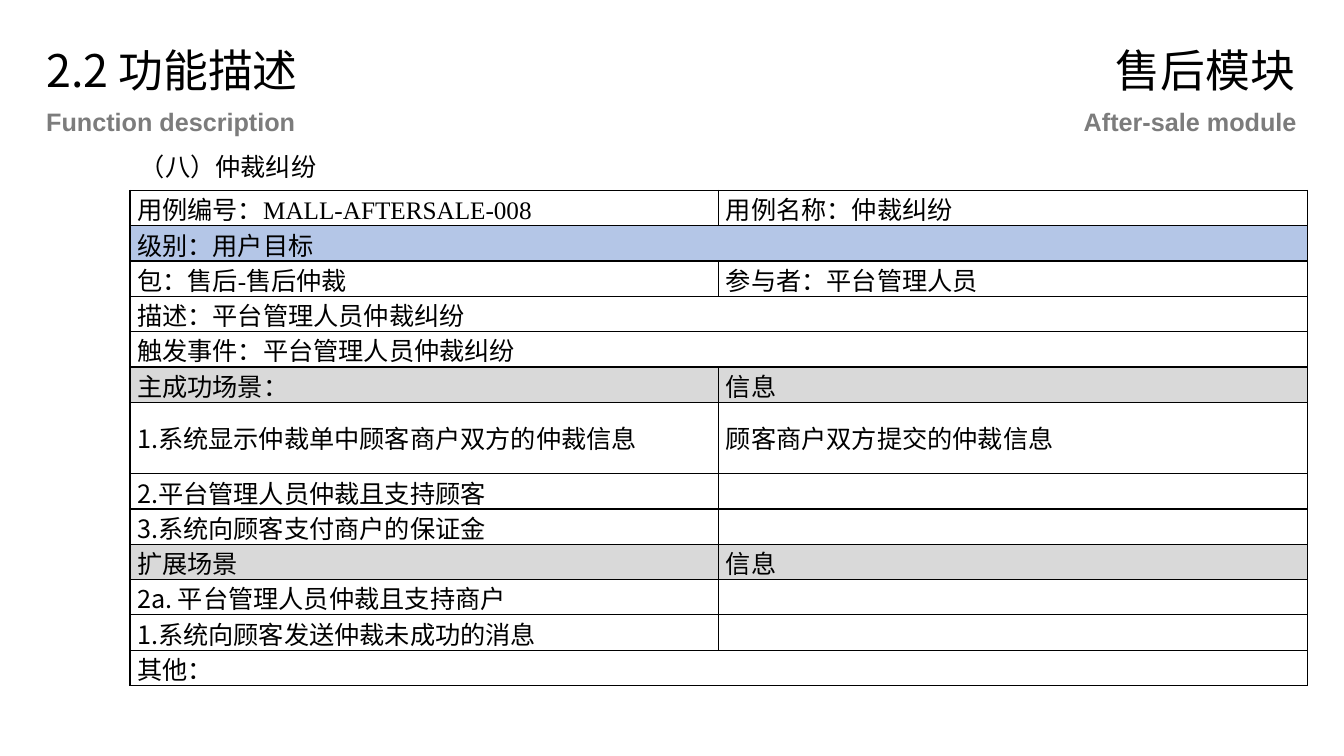
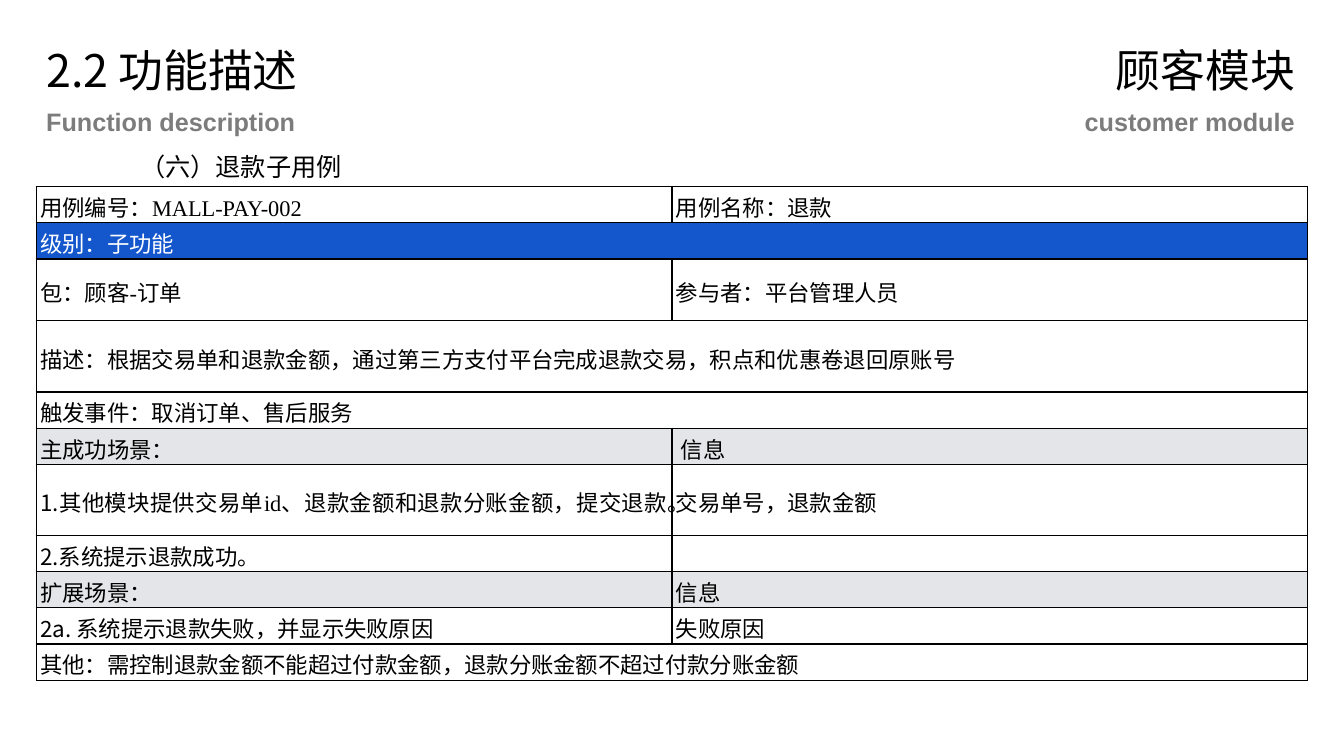
import pptx
import pptx.util
import pptx.dml.color
import pptx.enum.text
import pptx.oxml.ns
from lxml import etree

Inches = pptx.util.Inches
Pt = pptx.util.Pt

CJK_FONT = "Noto Sans CJK SC"
TABLE_FONT = "Times New Roman"
BLACK, WHITE, GREY = "000000", "FFFFFF", "7C7C7C"
RIGHT_EDGE = 12.97

# Row: (height, fill or None, cells). One cell spans the full width;
# a cell given as a pair is a numbering prefix and its text.
SLIDES = [
    {
        "module": ("售后模块", 2.0),
        "module_english": ("After-sale module", 2.32),
        "heading": ("（八）仲裁纠纷", 1.97),
        "left": 1.29, "top": 1.89, "size": 18,
        "side_margin": 0.07, "top_margin": 0,
        "rows": [
            (0.35, None, ["用例编号：MALL-AFTERSALE-008", "用例名称：仲裁纠纷"]),
            (0.35, "B4C6E7", ["级别：用户目标"]),
            (0.35, None, ["包：售后-售后仲裁", "参与者：平台管理人员"]),
            (0.35, None, ["描述：平台管理人员仲裁纠纷"]),
            (0.35, None, ["触发事件：平台管理人员仲裁纠纷"]),
            (0.35, "D9D9D9", ["主成功场景：", "信息"]),
            (0.71, None, [("1.", "系统显示仲裁单中顾客商户双方的仲裁信息"),
                          "顾客商户双方提交的仲裁信息"]),
            (0.35, None, [("2.", "平台管理人员仲裁且支持顾客"), ""]),
            (0.35, None, [("3.", "系统向顾客支付商户的保证金"), ""]),
            (0.35, "D9D9D9", ["扩展场景", "信息"]),
            (0.35, None, [("2a. ", "平台管理人员仲裁且支持商户"), ""]),
            (0.35, None, [("1.", "系统向顾客发送仲裁未成功的消息"), ""]),
            (0.35, None, ["其他："]),
        ],
    },
    {
        "module": ("顾客模块", 2.0),
        "module_english": ("customer module", 2.31),
        "heading": ("（六）退款子用例", 2.22),
        "left": 0.36, "top": 1.85, "size": 16,
        "side_margin": 0.04, "top_margin": 0.04,
        "rows": [
            (0.36, WHITE, ["用例编号：MALL-PAY-002", "用例名称：退款"]),
            (0.36, "1457CD", ["级别：子功能"]),
            (0.61, None, ["包：顾客-订单", "参与者：平台管理人员"]),
            (0.71, None, ["描述：根据交易单和退款金额，通过第三方支付平台完成退款交易，"
                          "积点和优惠卷退回原账号"]),
            (0.36, None, ["触发事件：取消订单、售后服务"]),
            (0.36, "E3E5E9", ["主成功场景：", (" ", "信息")]),
            (0.70, None, [("1.", "其他模块提供交易单id、退款金额和退款分账金额，提交退款。"),
                          "交易单号，退款金额"]),
            (0.36, None, [("2.", "系统提示退款成功。"), ""]),
            (0.36, "E3E5E9", ["扩展场景：", "信息"]),
            (0.36, WHITE, [("2a. ", "系统提示退款失败，并显示失败原因"), "失败原因"]),
            (0.36, None, ["其他：需控制退款金额不能超过付款金额，退款分账金额不超过付款分账金额"]),
        ],
    },
]
DARK_FILLS = {"1457CD"}


def rgb(value):
    return pptx.dml.color.RGBColor.from_string(value)


def add_element(parent, tag, **attributes):
    return etree.SubElement(parent, pptx.oxml.ns.qn(tag), attributes)


def format_run(run, size, font, color, bold=False):
    run.font.size = Pt(size)
    run.font.name = font
    run.font.bold = bold
    run.font.color.rgb = rgb(color)
    add_element(run.font._element, "a:ea", typeface=CJK_FONT)


def add_label(slide, text, left, top, width, size, font=CJK_FONT, color=BLACK, bold=False):
    height = 0.64 if size == 32 else 0.4
    box = slide.shapes.add_textbox(Inches(left), Inches(top), Inches(width), Inches(height))
    frame = box.text_frame
    frame.word_wrap = False
    frame.auto_size = pptx.enum.text.MSO_AUTO_SIZE.SHAPE_TO_FIT_TEXT
    frame.text = text
    format_run(frame.paragraphs[0].runs[0], size, font, color, bold)


def add_header(slide, content):
    """Section title on the left, module name on the right, each with its English line."""
    module, module_width = content["module"]
    english, english_width = content["module_english"]
    for text, left, width in (("2.2 功能描述", 0.36, 2.89),
                              (module, RIGHT_EDGE - module_width, module_width)):
        add_label(slide, text, left, 0.37, width, 32)
    for text, left, width in (("Function description", 0.36, 2.7),
                              (english, RIGHT_EDGE - english_width, english_width)):
        add_label(slide, text, left, 1.01, width, 18, "Arial", GREY, True)
    heading, heading_width = content["heading"]
    add_label(slide, heading, 1.29, 1.45, heading_width, 18)


def style_cell(cell, fill, content):
    properties = cell._tc.get_or_add_tcPr()
    for side in ("a:lnL", "a:lnR", "a:lnT", "a:lnB"):
        line = add_element(properties, side, w=str(Pt(1)))
        add_element(add_element(line, "a:solidFill"), "a:srgbClr", val=BLACK)
    if fill:
        cell.fill.solid()
        cell.fill.fore_color.rgb = rgb(fill)
    else:
        cell.fill.background()
    cell.margin_left = cell.margin_right = Inches(content["side_margin"])
    cell.margin_top = Inches(content["top_margin"])
    cell.margin_bottom = 0
    cell.vertical_anchor = pptx.enum.text.MSO_ANCHOR.MIDDLE


def fill_cell(cell, value, size, color):
    paragraph = cell.text_frame.paragraphs[0]
    paragraph.alignment = pptx.enum.text.PP_ALIGN.JUSTIFY
    prefix, text = value if isinstance(value, tuple) else ("", value)
    for part, font in ((prefix, CJK_FONT), (text, TABLE_FONT)):
        if part:
            run = paragraph.add_run()
            run.text = part
            format_run(run, size, font, color)
    if not text:
        add_element(paragraph._p, "a:endParaRPr", sz=str(size * 100))


def add_use_case_table(slide, content):
    rows = content["rows"]
    width = RIGHT_EDGE - content["left"]
    height = sum(row[0] for row in rows)
    table = slide.shapes.add_table(len(rows), 2, Inches(content["left"]), Inches(content["top"]),
                                   Inches(width), Inches(height)).table
    table.first_row = table.horz_banding = False
    for column in table.columns:
        column.width = Inches(width / 2)
    for index, (row_height, fill, values) in enumerate(rows):
        table.rows[index].height = Inches(row_height)
        cells = [table.cell(index, 0), table.cell(index, 1)]
        for cell in cells:
            style_cell(cell, fill, content)
        if len(values) == 1:
            cells[0].merge(cells[1])
        color = WHITE if fill in DARK_FILLS else BLACK
        for cell, value in zip(cells, values):
            fill_cell(cell, value, content["size"], color)


def main():
    presentation = pptx.Presentation()
    presentation.slide_width = Inches(13.33)
    presentation.slide_height = Inches(7.5)
    for content in SLIDES:
        slide = presentation.slides.add_slide(presentation.slide_layouts[6])
        add_header(slide, content)
        add_use_case_table(slide, content)
    presentation.save("out.pptx")


if __name__ == "__main__":
    main()
